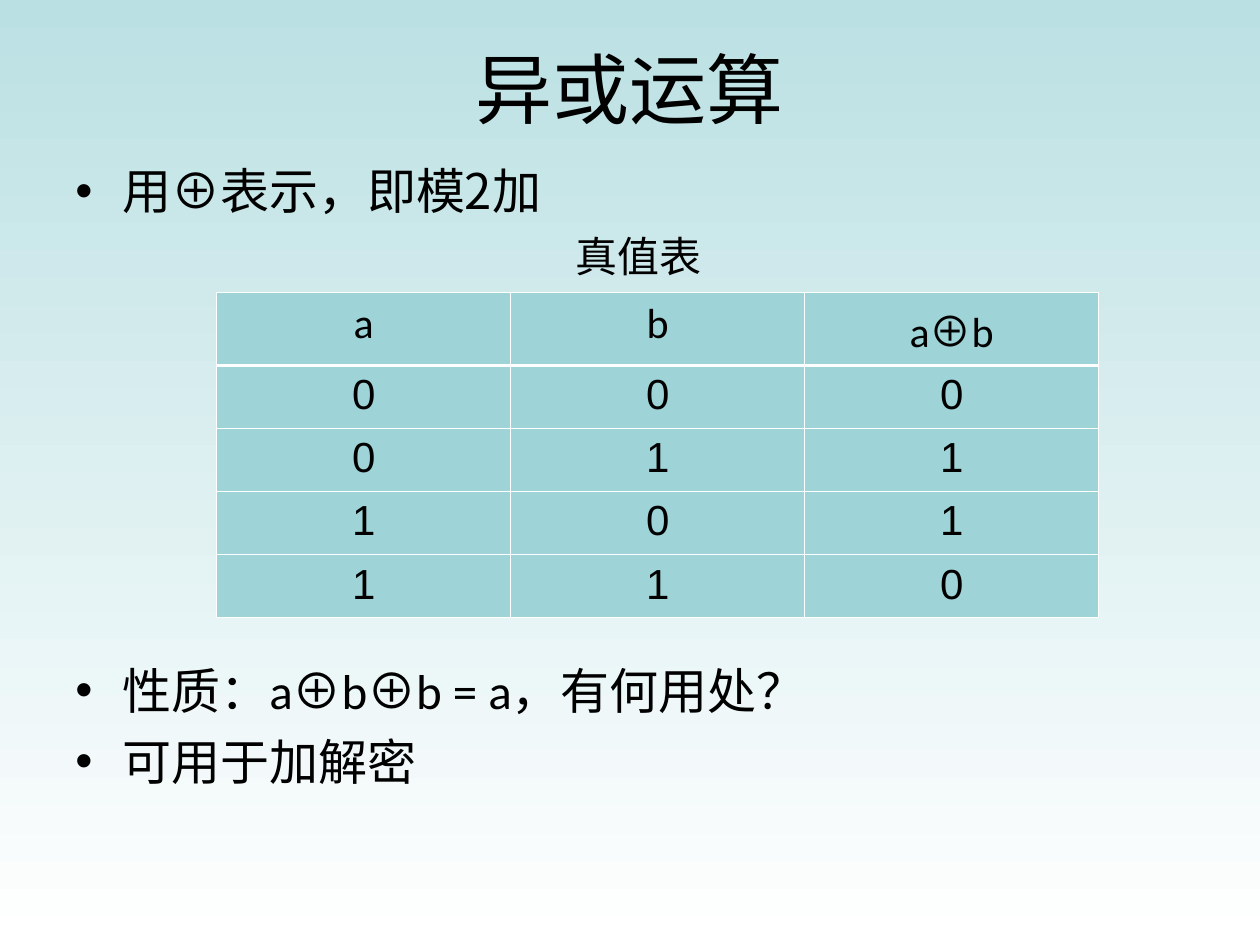
import pptx
import pptx.util
import pptx.dml.color
import pptx.enum.text
import pptx.oxml.ns
from lxml import etree
from pptx.util import Cm, Pt

COLOURS = {"sky": "BBE0E3", "white": "FFFFFF", "cell": "9ED3D7", "text": "000000"}
ARIAL, CALIBRI, NOTO = "Arial", "Calibri", "Noto Sans CJK SC"
CENTER = pptx.enum.text.PP_ALIGN.CENTER
LEFT = pptx.enum.text.PP_ALIGN.LEFT
XOR = ("⊕", NOTO)
TRUTH_ROWS = ["000", "011", "101", "110"]


def rgb(name):
    return pptx.dml.color.RGBColor.from_string(COLOURS[name])


def add_element(parent, tag, **values):
    element = etree.SubElement(parent, pptx.oxml.ns.qn(tag))
    for key, value in values.items():
        element.set(key, str(value))
    return element


def apply_format(target, values):
    for key, value in values.items():
        setattr(target, key, value)


def add_spans(para, spans, size):
    for text, font in spans:
        span = para.add_run()
        span.text = text
        apply_format(span.font, {"name": font, "size": Pt(size)})
        span.font.color.rgb = rgb("text")
        add_element(span.font._element, "a:ea", typeface=font)


def set_indent(para, margin, hanging, bullet):
    properties = para._p.get_or_add_pPr()
    properties.set("marL", str(Cm(margin)))
    properties.set("indent", str(-Cm(hanging)))
    if bullet:
        add_element(properties, "a:buFont", typeface=ARIAL)
        add_element(properties, "a:buChar", char="•")


def paint_background(page):
    fill = page.background.fill
    fill.gradient()
    fill.gradient_angle = 270
    for stop, name, position in zip(fill.gradient_stops, ("sky", "white"), (0, 1)):
        stop.color.rgb = rgb(name)
        stop.position = position


def add_title(page, text):
    title = page.shapes.title
    apply_format(title, {"left": Cm(1.27), "top": Cm(0.18), "width": Cm(22.86), "height": Cm(3.18)})
    title.text_frame.vertical_anchor = pptx.enum.text.MSO_ANCHOR.MIDDLE
    para = title.text_frame.paragraphs[0]
    para.alignment = CENTER
    add_spans(para, [(text, ARIAL)], 44)


def add_body(page, items):
    box = page.shapes.add_textbox(Cm(1.27), Cm(3.12), Cm(22.86), Cm(14.35))
    frame = box.text_frame
    frame.word_wrap = True
    for index, (spans, size, bullet, space) in enumerate(items):
        para = frame.add_paragraph() if index else frame.paragraphs[0]
        para.alignment = LEFT if bullet else CENTER
        para.space_before = Pt(space)
        set_indent(para, 0.95 if bullet else 0.36, 0.95 if bullet else 0, bullet)
        add_spans(para, spans, size)


def set_borders(cell, widths):
    properties = cell._tc.get_or_add_tcPr()
    for position, (side, width) in enumerate(widths.items()):
        line = etree.Element(pptx.oxml.ns.qn(f"a:{side}"), w=str(Pt(width)))
        fill = add_element(line, "a:solidFill")
        add_element(fill, "a:srgbClr", val=COLOURS["white"])
        properties.insert(position, line)


def add_truth_table(page, rows):
    columns = len(rows[0])
    frame = page.shapes.add_table(len(rows), columns, Cm(4.37), Cm(5.9), Cm(17.78), Cm(6.35))
    table = frame.table
    for row_index, row in enumerate(rows):
        table.rows[row_index].height = Cm(1.22 if row_index else 1.47)
        widths = {"lnL": 0.45, "lnR": 0.45,
                  "lnT": 1.47 if row_index == 1 else 0.45,
                  "lnB": 1.47 if row_index == 0 else 0.45}
        for column_index, spans in enumerate(row):
            cell = table.cell(row_index, column_index)
            cell.fill.solid()
            cell.fill.fore_color.rgb = rgb("cell")
            set_borders(cell, widths)
            para = cell.text_frame.paragraphs[0]
            para.alignment = CENTER
            add_spans(para, spans, 24)


def main():
    deck = pptx.Presentation()
    apply_format(deck, {"slide_width": Cm(25.4), "slide_height": Cm(19.05)})
    page = deck.slides.add_slide(deck.slide_layouts[5])
    paint_background(page)
    add_title(page, "异或运算")
    a, b = ("a", CALIBRI), ("b", CALIBRI)
    add_body(page, [
        ([("用", ARIAL), ("⊕表示，即模2加", NOTO)], 28, True, 0),
        ([("真值表", NOTO)], 24, False, 6),
        ([("性质：", NOTO), a, XOR, b, XOR, ("b = a，有何用处？", CALIBRI)], 28, True, 217),
        ([("可", NOTO), ("用于加解密", CALIBRI)], 28, True, 7),
    ])
    header = [[a], [b], [a, XOR, b]]
    digits = [[[(digit, ARIAL)] for digit in row] for row in TRUTH_ROWS]
    add_truth_table(page, [header, *digits])
    deck.save("out.pptx")


if __name__ == "__main__":
    main()
